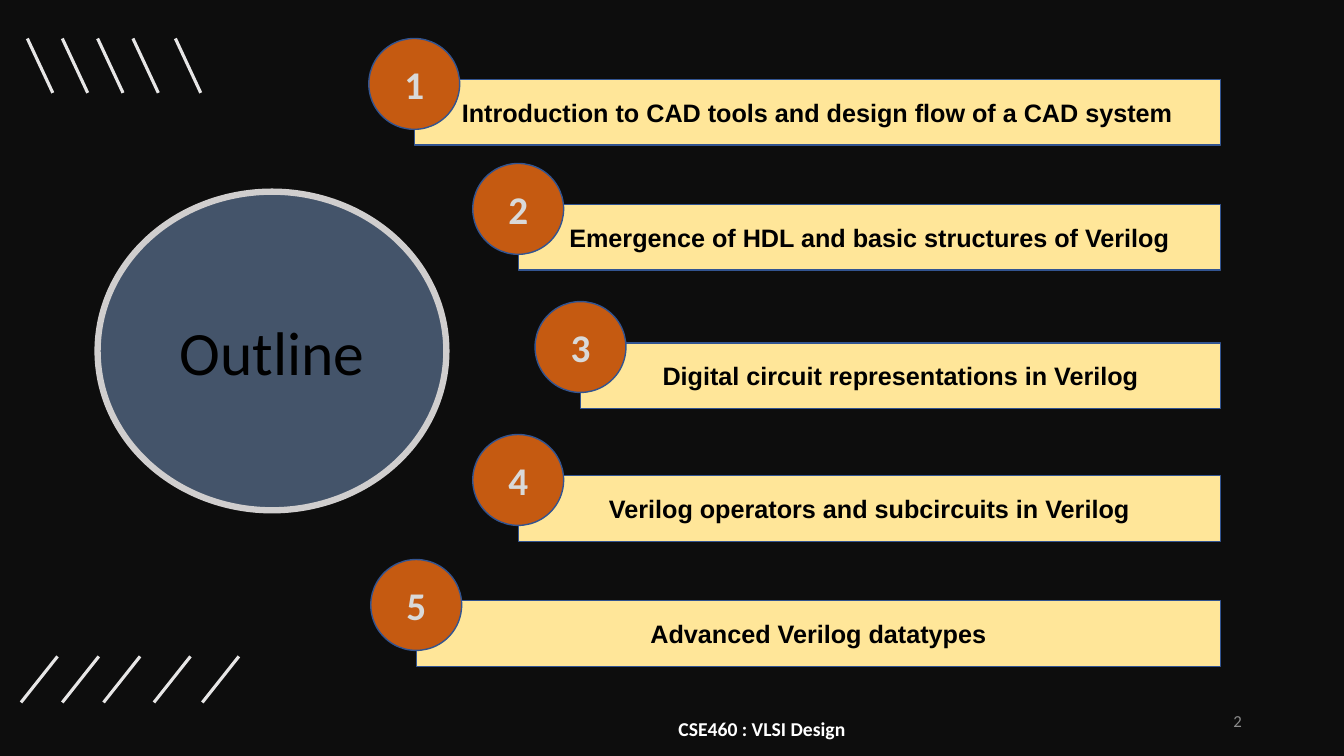
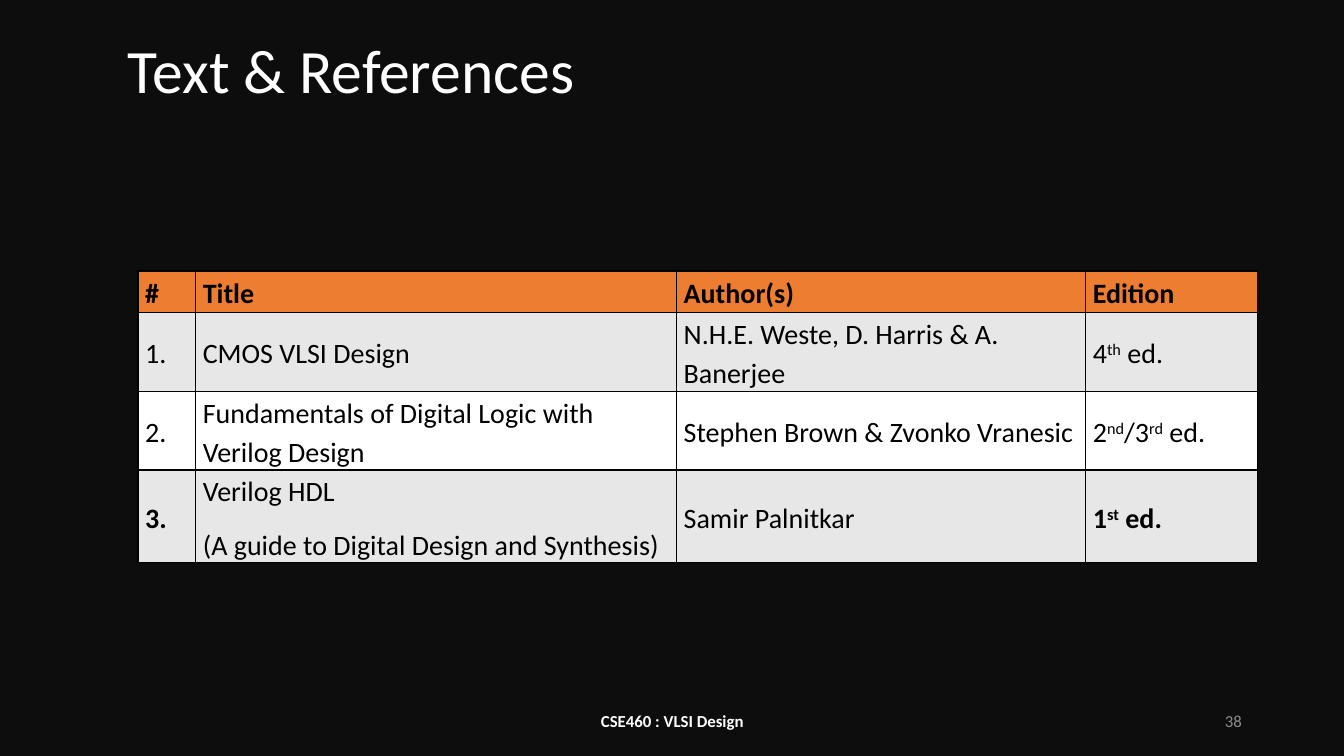
"""Build the outline and reference slides of a VLSI design course."""
from dataclasses import dataclass
from typing import NamedTuple

from lxml import etree
from pptx import Presentation
from pptx.dml.color import RGBColor
from pptx.enum.shapes import MSO_CONNECTOR, MSO_SHAPE
from pptx.enum.text import MSO_ANCHOR, MSO_AUTO_SIZE, PP_ALIGN
from pptx.oxml.ns import qn
from pptx.slide import Slide
from pptx.util import Cm, Pt

LEFT, CENTER, RIGHT = PP_ALIGN.LEFT, PP_ALIGN.CENTER, PP_ALIGN.RIGHT
MIDDLE = MSO_ANCHOR.MIDDLE
NO_AUTOFIT = MSO_AUTO_SIZE.NONE
STRAIGHT = MSO_CONNECTOR.STRAIGHT
RECTANGLE = MSO_SHAPE.RECTANGLE
BADGE = MSO_SHAPE.FLOWCHART_CONNECTOR
OVAL = MSO_SHAPE.OVAL
TITLE_ONLY_LAYOUT, BLANK_LAYOUT = 5, 6
COURSE = "CSE460 : VLSI Design"


class TextStyle(NamedTuple):
    """Look of a run of text."""

    size: float
    color: str
    bold: bool = False
    font: str = "Calibri"


class ShapeStyle(NamedTuple):
    """Fill and outline of a shape."""

    fill: str
    line: str
    width: float


class Box(NamedTuple):
    """Position and size in centimetres."""

    left: float
    top: float
    width: float
    height: float


class Run(NamedTuple):
    """Piece of table text, possibly raised."""

    text: str
    raised: bool = False


@dataclass(frozen=True)
class Theme:
    """Colours and type sizes shared by the slides."""

    background: str = "0D0D0D"
    stroke: str = "E7E6E6"
    border: str = "000000"
    header_fill: str = "ED7D31"
    row_fills: tuple[str, str] = ("E7E7E7", "FFFFFF")
    bar: ShapeStyle = ShapeStyle("FFE699", "325491", 1)
    badge: ShapeStyle = ShapeStyle("C55A11", "325491", 1)
    disc: ShapeStyle = ShapeStyle("44546A", "D0CECE", 4.5)
    title: TextStyle = TextStyle(44, "FFFFFF")
    disc_text: TextStyle = TextStyle(44, "000000")
    bar_text: TextStyle = TextStyle(18, "000000", True, "Arial")
    badge_text: TextStyle = TextStyle(28, "D9D9D9", True)
    footer_large: TextStyle = TextStyle(14, "FFFFFF", True)
    footer: TextStyle = TextStyle(12, "FFFFFF", True)
    number: TextStyle = TextStyle(12, "8C8C8C")
    cell: TextStyle = TextStyle(20, "000000")
    cell_bold: TextStyle = TextStyle(20, "000000", True)


@dataclass(frozen=True)
class Topic:
    """One numbered bar of the outline."""

    left: float
    top: float
    text: str


@dataclass(frozen=True)
class StrokeRow:
    """Row of parallel slanted strokes."""

    starts: tuple[float, ...]
    top: float
    bottom: float
    slant: float


@dataclass(frozen=True)
class Cell:
    """Table cell made of paragraphs of runs."""

    paragraphs: tuple[tuple[Run, ...], ...]
    bold: bool = False


THEME = Theme()
BAR_RIGHT, BAR_HEIGHT = 30.76, 1.65
BADGE_SIZE, BADGE_RISE = 2.29, 1.04
TOPICS = (
    Topic(10.44, 2.01, "Introduction to CAD tools and design flow of a CAD system"),
    Topic(13.06, 5.16, "Emergence of HDL and basic structures of Verilog"),
    Topic(14.63, 8.64, "Digital circuit representations in Verilog"),
    Topic(13.06, 11.99, "Verilog operators and subcircuits in Verilog"),
    Topic(10.49, 15.14, "Advanced Verilog datatypes"),
)
STROKE_ROWS = (
    StrokeRow((0.69, 1.57, 2.46, 3.35, 4.42), 0.97, 2.34, 0.64),
    StrokeRow((1.45, 2.49, 3.53, 4.8, 6.02), 16.54, 17.7, -0.92),
)


def plain(*lines: str, bold: bool = False) -> Cell:
    """Make a cell with one run in each paragraph."""
    return Cell(tuple((Run(line),) for line in lines), bold)


def edition(*ordinals: tuple[str, str], bold: bool = False) -> Cell:
    """Make a cell such as 2nd/3rd ed. with raised endings."""
    runs = []
    for index, (digit, ending) in enumerate(ordinals):
        runs += [Run(f"/{digit}" if index else digit), Run(ending, True)]
    return Cell(((*runs, Run(" ed.")),), bold)


TABLE_LEFT, TABLE_TOP = 3.48, 6.83
COLUMN_WIDTHS = (1.45, 12.12, 10.31, 4.32)
ROW_HEIGHTS = (1.04, 1.98, 1.98, 2.34)
REFERENCES = (
    tuple(plain(text, bold=True) for text in ("#", "Title", "Author(s)", "Edition")),
    (plain("1."), plain("CMOS VLSI Design"),
     plain("N.H.E. Weste, D. Harris & A. Banerjee"), edition(("4", "th"))),
    (plain("2."), plain("Fundamentals of Digital Logic with Verilog Design"),
     plain("Stephen Brown & Zvonko Vranesic"), edition(("2", "nd"), ("3", "rd"))),
    (plain("3.", bold=True),
     plain("Verilog HDL", "(A guide to Digital Design and Synthesis)"),
     plain("Samir Palnitkar"), edition(("1", "st"), bold=True)),
)


def lengths(box: Box) -> tuple[Cm, ...]:
    """Convert a box to slide lengths."""
    return tuple(Cm(value) for value in box)


def rgb(color: str) -> RGBColor:
    """Convert a hexadecimal colour."""
    return RGBColor.from_string(color)


def add_run(paragraph, text: str, style: TextStyle, raised: bool = False) -> None:
    """Append a styled run to a paragraph."""
    run = paragraph.add_run()
    run.text = text
    run.font.size = Pt(style.size)
    run.font.name = style.font
    run.font.bold = style.bold
    run.font.color.rgb = rgb(style.color)
    if raised:
        run._r.get_or_add_rPr().set("baseline", "30000")


def write(frame, text: str, style: TextStyle, alignment: PP_ALIGN = CENTER) -> None:
    """Fill a text frame with one vertically centred paragraph."""
    frame.word_wrap = True
    frame.auto_size = NO_AUTOFIT
    frame.vertical_anchor = MIDDLE
    paragraph = frame.paragraphs[0]
    paragraph.alignment = alignment
    add_run(paragraph, text, style)


def add_label(slide: Slide, box: Box, text: str, style: TextStyle,
              alignment: PP_ALIGN = CENTER) -> None:
    """Add a text box."""
    write(slide.shapes.add_textbox(*lengths(box)).text_frame, text, style, alignment)


def add_figure(slide: Slide, kind: MSO_SHAPE, box: Box, look: ShapeStyle,
               text: str, style: TextStyle) -> None:
    """Add a filled and outlined shape holding centred text."""
    shape = slide.shapes.add_shape(kind, *lengths(box))
    shape.shadow.inherit = False
    shape.fill.solid()
    shape.fill.fore_color.rgb = rgb(look.fill)
    shape.line.color.rgb = rgb(look.line)
    shape.line.width = Pt(look.width)
    write(shape.text_frame, text, style)


def add_strokes(slide: Slide, row: StrokeRow) -> None:
    """Draw one row of slanted strokes."""
    for start in row.starts:
        stroke = slide.shapes.add_connector(
            STRAIGHT, Cm(start), Cm(row.top), Cm(start + row.slant), Cm(row.bottom))
        stroke.line.color.rgb = rgb(THEME.stroke)
        stroke.line.width = Pt(2.25)
        etree.SubElement(stroke._element.spPr, qn("a:effectLst"))


def add_page_marks(slide: Slide, number: str, left: float, top: float,
                   style: TextStyle) -> None:
    """Add the course name and the page number."""
    add_label(slide, Box(left, top, 11.43, 1.02), COURSE, style)
    add_label(slide, Box(23.93, 17.65, 7.62, 1.02), number, THEME.number, RIGHT)


def add_topic(slide: Slide, number: int, topic: Topic) -> None:
    """Draw a topic bar with its badge centred on the left edge."""
    bar = Box(topic.left, topic.top, BAR_RIGHT - topic.left, BAR_HEIGHT)
    badge = Box(topic.left - BADGE_SIZE / 2, topic.top - BADGE_RISE,
                BADGE_SIZE, BADGE_SIZE)
    add_figure(slide, RECTANGLE, bar, THEME.bar, topic.text, THEME.bar_text)
    add_figure(slide, BADGE, badge, THEME.badge, str(number), THEME.badge_text)


def add_borders(table_cell) -> None:
    """Give a table cell a thin line on each side."""
    properties = table_cell._tc.get_or_add_tcPr()
    for side in ("lnL", "lnR", "lnT", "lnB"):
        line = etree.SubElement(properties, qn(f"a:{side}"), w=str(Pt(1)))
        fill = etree.SubElement(line, qn("a:solidFill"))
        etree.SubElement(fill, qn("a:srgbClr"), val=THEME.border)


def fill_cell(table_cell, cell: Cell, color: str) -> None:
    """Format a table cell and write its paragraphs."""
    add_borders(table_cell)
    table_cell.fill.solid()
    table_cell.fill.fore_color.rgb = rgb(color)
    table_cell.vertical_anchor = MIDDLE
    table_cell.margin_left = table_cell.margin_right = Cm(0.18)
    table_cell.margin_top = table_cell.margin_bottom = Cm(0)
    frame = table_cell.text_frame
    for index, runs in enumerate(cell.paragraphs):
        paragraph = frame.add_paragraph() if index else frame.paragraphs[0]
        paragraph.line_spacing = 1.15
        paragraph.space_after = Pt(10)
        for run in runs:
            style = THEME.cell_bold if cell.bold else THEME.cell
            add_run(paragraph, run.text, style, run.raised)


def add_references(slide: Slide) -> None:
    """Add the table of reference books."""
    box = Box(TABLE_LEFT, TABLE_TOP, sum(COLUMN_WIDTHS), sum(ROW_HEIGHTS))
    table = slide.shapes.add_table(
        len(REFERENCES), len(COLUMN_WIDTHS), *lengths(box)).table
    table.first_row = table.horz_banding = False
    for column, width in zip(table.columns, COLUMN_WIDTHS):
        column.width = Cm(width)
    for row_index, cells in enumerate(REFERENCES):
        table.rows[row_index].height = Cm(ROW_HEIGHTS[row_index])
        color = THEME.row_fills[(row_index - 1) % 2] if row_index else THEME.header_fill
        for column_index, cell in enumerate(cells):
            fill_cell(table.cell(row_index, column_index), cell, color)


def build_outline(slide: Slide) -> None:
    """Draw the outline slide."""
    for number, topic in enumerate(TOPICS, start=1):
        add_topic(slide, number, topic)
    add_figure(slide, OVAL, Box(2.46, 4.83, 8.79, 8.03), THEME.disc,
               "Outline", THEME.disc_text)
    for row in STROKE_ROWS:
        add_strokes(slide, row)
    add_page_marks(slide, "2", 13.49, 17.86, THEME.footer_large)


def build_references(slide: Slide) -> None:
    """Draw the reference slide."""
    title = slide.shapes.title
    title.left, title.top, title.width, title.height = lengths(
        Box(2.97, 0.64, 29.21, 2.41))
    write(title.text_frame, "Text & References", THEME.title, LEFT)
    title.text_frame.paragraphs[0].line_spacing = 0.9
    add_references(slide)
    add_page_marks(slide, "38", 11.23, 17.65, THEME.footer)


def main() -> None:
    """Build and save the presentation."""
    presentation = Presentation()
    presentation.slide_width, presentation.slide_height = Cm(33.87), Cm(19.05)
    background = presentation.slide_master.background.fill
    background.solid()
    background.fore_color.rgb = rgb(THEME.background)
    layouts = presentation.slide_layouts
    build_outline(presentation.slides.add_slide(layouts[BLANK_LAYOUT]))
    build_references(presentation.slides.add_slide(layouts[TITLE_ONLY_LAYOUT]))
    presentation.save("out.pptx")


if __name__ == "__main__":
    main()
